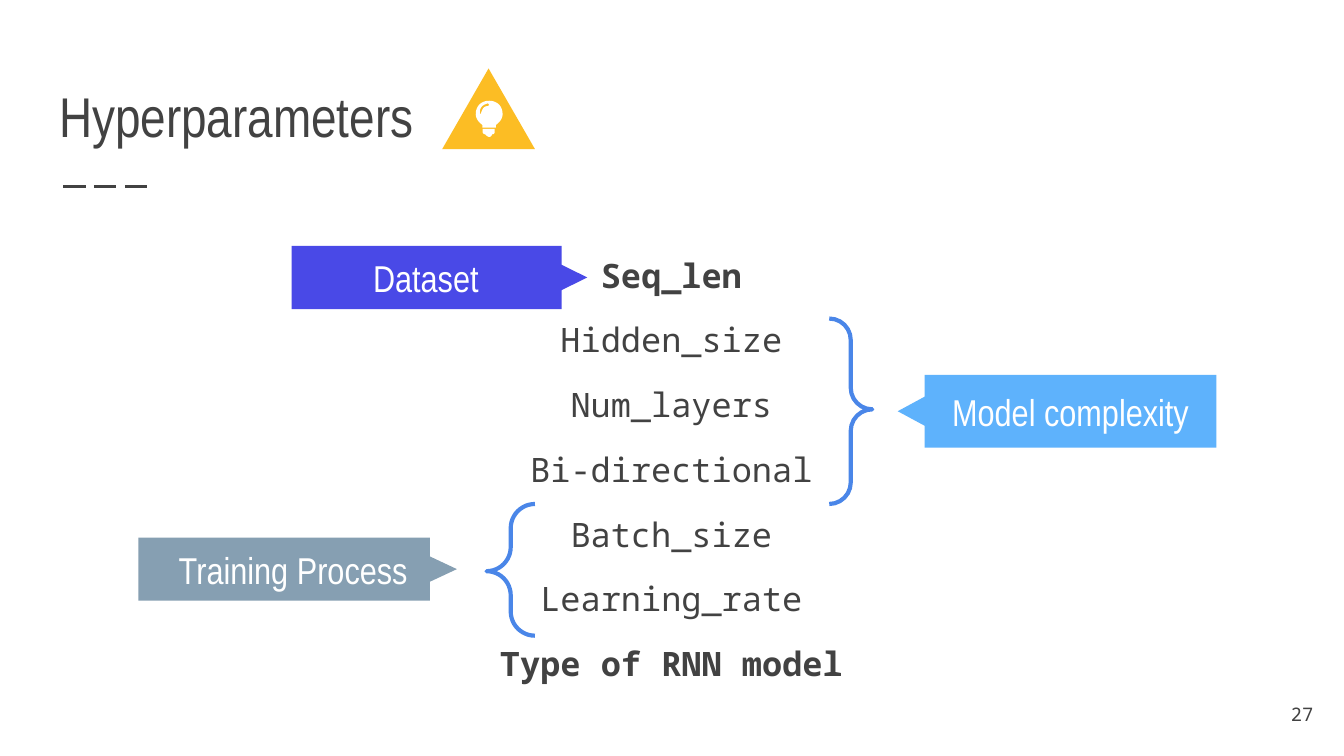
import pptx
import pptx.dml.color
import pptx.enum.dml
import pptx.enum.shapes
import pptx.enum.text
import pptx.oxml
import pptx.oxml.ns
import pptx.util
from pptx.util import Inches

ALIGN = pptx.enum.text.PP_ALIGN
ANCHOR = pptx.enum.text.MSO_ANCHOR
SHAPE = pptx.enum.shapes.MSO_SHAPE
NARROW, MONO = "Arial Narrow", "Noto Sans Mono"
DARK, WHITE, BLUE, YELLOW = "424242", "FFFFFF", "4A86E8", "FCBD24"


def colour(code):
    return pptx.dml.color.RGBColor.from_string(code)


def place(shape, box):
    for name, value in zip(("left", "top", "width", "height"), box):
        setattr(shape, name, Inches(value))


def set_frame(shape, anchor, left=0.1, right=0.1):
    frame = shape.text_frame
    values = {
        "word_wrap": True,
        "auto_size": pptx.enum.text.MSO_AUTO_SIZE.NONE,
        "vertical_anchor": anchor,
        "margin_left": Inches(left),
        "margin_right": Inches(right),
        "margin_top": Inches(0.1),
        "margin_bottom": Inches(0.1),
    }
    for name, value in values.items():
        setattr(frame, name, value)
    return frame


def write(para, text, size, face, code, align=ALIGN.LEFT, bold=False):
    para.alignment = align
    span = para.add_run()
    span.text = text
    for name, value in {"size": pptx.util.Pt(size), "name": face, "bold": bold}.items():
        setattr(span.font, name, value)
    span.font.color.rgb = colour(code)


def curve(start, steps, count=8):
    """Points along lines (2 numbers) and cubic curves (6 numbers)."""
    points = [start]
    for step in steps:
        if len(step) == 2:
            points.append(step)
            continue
        ends = [points[-1], step[:2], step[2:4], step[4:]]
        for i in range(1, count + 1):
            t = i / count
            weights = ((1 - t) ** 3, 3 * t * (1 - t) ** 2, 3 * t * t * (1 - t), t ** 3)
            points.append(tuple(sum(w * end[axis] for w, end in zip(weights, ends))
                                for axis in (0, 1)))
    return points


def add_outline(page, box, contours, fill):
    """Filled outline; its points are relative to the box."""
    builder = None
    for contour in contours:
        points = [(Inches(box[0] + x), Inches(box[1] + y)) for x, y in contour]
        if builder is None:
            builder = page.shapes.build_freeform(*points[0])
        else:
            builder.move_to(*points[0])
        builder.add_line_segments(points[1:], close=True)
    shape = builder.convert_to_shape()
    shape.shadow.inherit = False
    shape.fill.solid()
    shape.fill.fore_color.rgb = colour(fill)
    shape.line.fill.background()
    return shape


def add_heading(page, box):
    title = page.shapes.title
    place(title, box)
    frame = set_frame(title, ANCHOR.BOTTOM)
    write(frame.paragraphs[0], "Hyperparameters", 30, NARROW, DARK)
    # Dashed rule under the title
    left, y = box[0] + 0.13, box[1] + 0.98
    rule = page.shapes.add_connector(
        pptx.enum.shapes.MSO_CONNECTOR.STRAIGHT,
        Inches(left), Inches(y), Inches(left + 0.67), Inches(y))
    rule.line.color.rgb = colour(DARK)
    rule.line.width = pptx.util.Pt(1.5)
    rule.line.dash_style = pptx.enum.dml.MSO_LINE.LONG_DASH
    properties = rule._element.spPr
    properties.append(pptx.oxml.parse_xml(
        "<a:effectLst %s/>" % pptx.oxml.ns.nsdecls("a")))


def add_parameters(page, box, names):
    body = page.placeholders[1]
    place(body, box)
    frame = set_frame(body, ANCHOR.TOP)
    for i, (name, bold) in enumerate(names):
        para = frame.paragraphs[0] if i == 0 else frame.add_paragraph()
        properties = para._p.get_or_add_pPr()
        properties.set("marL", "0")
        properties.set("indent", "0")
        properties.append(pptx.oxml.parse_xml(
            "<a:buNone %s/>" % pptx.oxml.ns.nsdecls("a")))
        para.line_spacing = 1.05
        para.space_before = pptx.util.Pt(12 if i else 0)
        write(para, name, 18, MONO, DARK, ALIGN.CENTER, bold)
    para.space_after = pptx.util.Pt(12)


def add_callout(page, box, text, fill, points_left=False,
                align=ALIGN.CENTER, left=0.1, right=0.1, tip=0.2):
    width, height = box[2:]
    edge = width - tip
    points = [(0, 0), (edge, 0), (edge, 0.3 * height), (width, height / 2),
              (edge, 0.7 * height), (edge, height), (0, height)]
    if points_left:
        points = [(width - x, y) for x, y in points]
    shape = add_outline(page, box, [points], fill)
    frame = set_frame(shape, ANCHOR.MIDDLE, left, right)
    write(frame.paragraphs[0], text, 20, NARROW, WHITE, align)


def add_brace(page, box, rotation=0):
    brace = page.shapes.add_shape(SHAPE.RIGHT_BRACE, *map(Inches, box))
    brace.adjustments[0], brace.adjustments[1] = 0.5, 0.49
    brace.rotation = rotation
    brace.shadow.inherit = False
    brace.fill.background()
    brace.line.color.rgb = colour(BLUE)
    brace.line.width = pptx.util.Pt(2.25)


def add_idea_sign(page, box):
    width, height = box[2:]
    add_outline(page, box, [[(width / 2, 0), (0, height), (width, height)]], YELLOW)
    # Bulb with a cut-out glint
    bulb = curve((0.1, 0), [
        (0.04, 0, 0, 0.04, 0, 0.1), (0, 0.13, 0.02, 0.16, 0.05, 0.18),
        (0.05, 0.2), (0.15, 0.2), (0.15, 0.18),
        (0.18, 0.16, 0.2, 0.13, 0.2, 0.1), (0.2, 0.04, 0.16, 0, 0.1, 0)])
    glint = curve((0.09, 0.02), [
        (0.1, 0.02, 0.1, 0.04, 0.09, 0.04), (0.06, 0.04, 0.05, 0.06, 0.04, 0.09),
        (0.04, 0.1, 0.03, 0.1, 0.03, 0.09), (0.03, 0.05, 0.05, 0.03, 0.09, 0.02)])
    add_outline(page, (box[0] + 0.25, box[1] + 0.24), [bulb, glint], WHITE)
    # Bulb base
    base = curve((0, 0), [
        (0, 0.02), (0, 0.03, 0.01, 0.04, 0.02, 0.04),
        (0.03, 0.05, 0.04, 0.06, 0.05, 0.06), (0.06, 0.06, 0.07, 0.05, 0.07, 0.04),
        (0.09, 0.04, 0.09, 0.03, 0.09, 0.02), (0.09, 0)])
    add_outline(page, (box[0] + 0.3, box[1] + 0.45), [base], WHITE)


def add_page_number(page, box, number):
    label = page.shapes.add_textbox(*map(Inches, box))
    frame = set_frame(label, ANCHOR.MIDDLE)
    write(frame.paragraphs[0], number, 10, MONO, DARK, ALIGN.RIGHT)


def main():
    deck = pptx.Presentation()
    # Widescreen, 16 to 9
    deck.slide_width = Inches(10)
    deck.slide_height = deck.slide_width * 9 // 16
    page = deck.slides.add_slide(deck.slide_layouts[1])
    page.background.fill.solid()
    page.background.fill.fore_color.rgb = colour(WHITE)

    add_heading(page, (0.34, 0.41, 9.32, 0.8))
    add_parameters(page, (3.32, 1.78, 3.35, 3.39), [
        ("Seq_len", True), ("Hidden_size", False), ("Num_layers", False),
        ("Bi-directional", False), ("Batch_size", False),
        ("Learning_rate", False), ("Type of RNN model", True)])
    add_page_number(page, (9.27, 5.1, 0.6, 0.43), "27")

    # Parameter groups
    add_callout(page, (2.17, 1.83, 2.2, 0.47), "Dataset", "4949E7",
                right=0.3, tip=0.19)
    add_brace(page, (6.17, 2.37, 0.32, 1.38))
    add_callout(page, (6.68, 2.79, 2.37, 0.54), "Model complexity", "5EB2FC",
                points_left=True, left=0.3)
    add_brace(page, (3.62, 3.75, 0.36, 0.98), rotation=180)
    add_callout(page, (1.03, 4, 2.37, 0.47), "Training Process", "869FB2",
                align=ALIGN.LEFT, left=0.3)

    add_idea_sign(page, (3.29, 0.51, 0.69, 0.6))
    deck.save("out.pptx")


if __name__ == "__main__":
    main()
